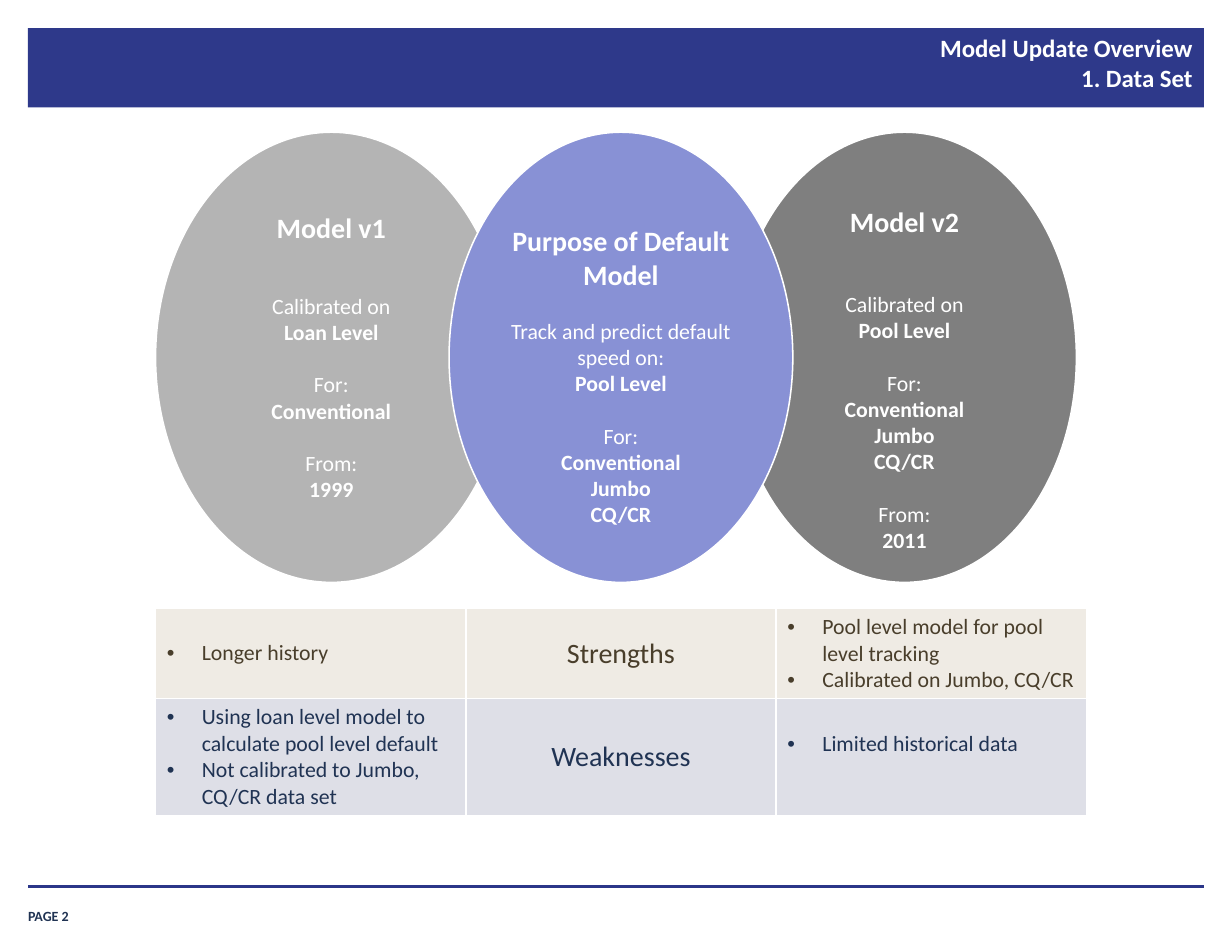
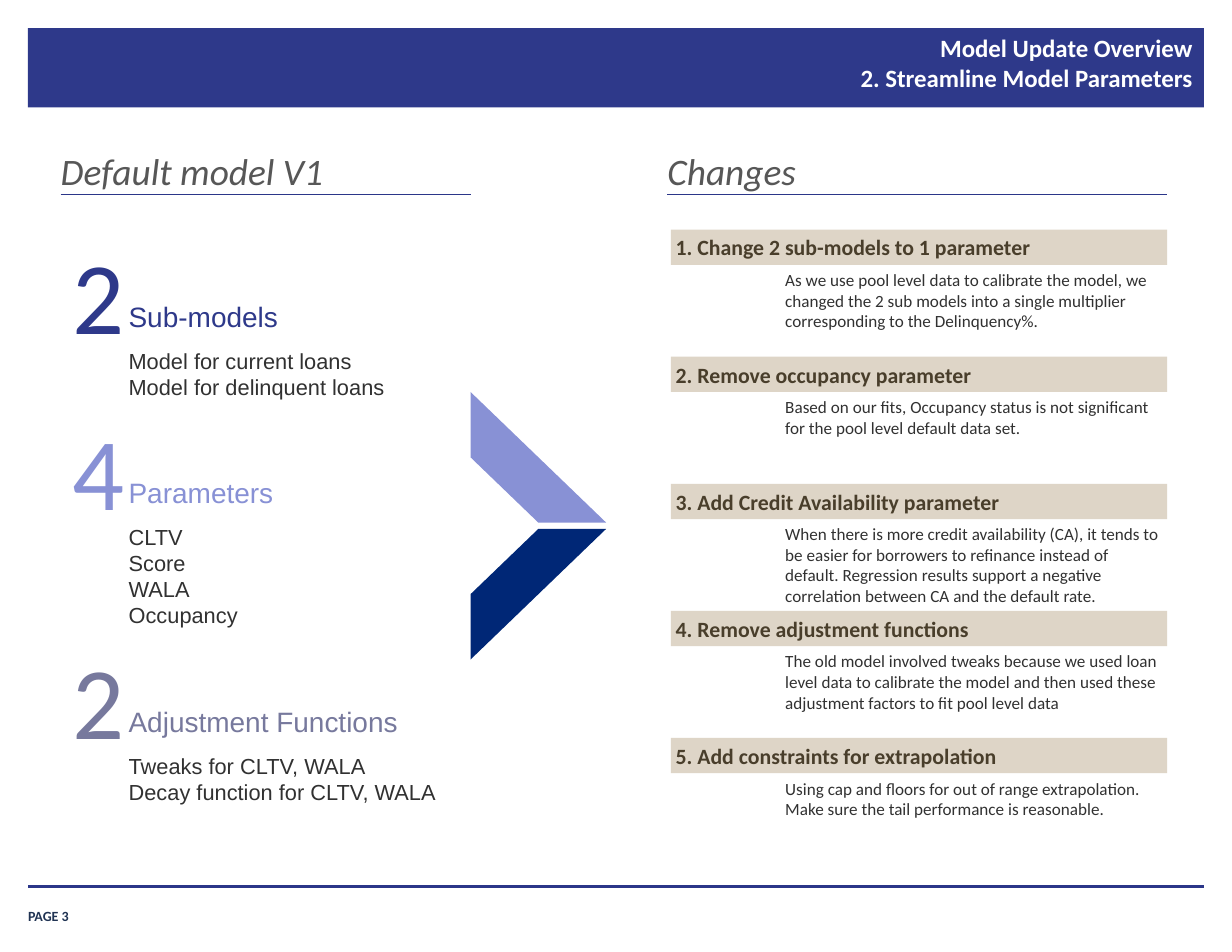
from lxml.etree import SubElement
from pptx import Presentation
from pptx.dml.color import RGBColor
from pptx.enum.shapes import MSO_CONNECTOR, MSO_SHAPE
from pptx.enum.text import MSO_ANCHOR, PP_ALIGN
from pptx.oxml.ns import qn
from pptx.util import Pt

COLORS = {
    "band": "2E398A", "rule": "2B3689", "white": "FFFFFF", "navy": "203353",
    "light_gray": "B4B4B4", "dark_gray": "7F7F7F", "periwinkle": "8891D5",
    "brown": "493E2B", "sand": "EFEBE4", "mist": "DEDFE7", "tan": "DED5C7",
    "heading": "575757", "body": "313131", "slate": "77799D", "deep_blue": "002776",
}


def color(name):
    return RGBColor.from_string(COLORS[name])


def set_font(paragraph, size, color_name, bold=False, italic=False, name="Calibri"):
    font = paragraph.font
    font.name, font.size, font.bold, font.italic = name, Pt(size), bold, italic
    font.color.rgb = color(color_name)


def set_frame(frame, margins, anchor=MSO_ANCHOR.TOP):
    frame.word_wrap = True
    frame.vertical_anchor = anchor
    (frame.margin_left, frame.margin_top,
     frame.margin_right, frame.margin_bottom) = [Pt(margin) for margin in margins]


def add_paragraphs(frame, lines):
    """Yield one paragraph for each line of text."""
    for index, line in enumerate(lines):
        paragraph = frame.add_paragraph() if index else frame.paragraphs[0]
        paragraph.text = line
        yield paragraph


def add_text(shapes, box, lines, size, color_name, margins=(0, 0, 0, 0),
             anchor=MSO_ANCHOR.TOP, align=PP_ALIGN.LEFT, line_spacing=None, **style):
    frame = shapes.add_textbox(*map(Pt, box)).text_frame
    set_frame(frame, margins, anchor)
    for paragraph in add_paragraphs(frame, lines):
        paragraph.alignment = align
        if line_spacing:
            paragraph.line_spacing = Pt(line_spacing)
        set_font(paragraph, size, color_name, **style)


def add_filled(shapes, kind, box, fill, line=None):
    shape = shapes.add_shape(kind, *map(Pt, box))
    shape.shadow.inherit = False
    shape.fill.solid()
    shape.fill.fore_color.rgb = color(fill)
    if line:
        shape.line.color.rgb = color(line)
        shape.line.width = Pt(1)
    else:
        shape.line.fill.background()
    return shape


def add_rule(shapes, left, right, top, width):
    rule = shapes.add_connector(MSO_CONNECTOR.STRAIGHT, Pt(left), Pt(top), Pt(right), Pt(top))
    rule.line.color.rgb = color("rule")
    rule.line.width = Pt(width)
    SubElement(rule.element.spPr, qn("a:effectLst"))


def add_base_slide(presentation, title, page):
    """Blank slide with title band, footer rule and page number."""
    slide = presentation.slides.add_slide(presentation.slide_layouts[6])
    add_filled(slide.shapes, MSO_SHAPE.RECTANGLE, (18, 18, 756, 51), "band")
    add_text(slide.shapes, (18, 577.5, 65.5, 16.5), [f"PAGE {page}"], 9, "navy",
             anchor=MSO_ANCHOR.BOTTOM, bold=True)
    add_rule(slide.shapes, 18, 774, 570, 2)
    add_text(slide.shapes, (239, 17.3, 535.7, 53.3), ["Model Update Overview\v" + title],
             16, "white", margins=(8, 4, 8, 4), align=PP_ALIGN.RIGHT, bold=True)
    return slide


# Data set slide
def add_model_ellipse(slide, box, fill, top_margin, title, title_gap, sections):
    """Each section is a lead-in line followed by its bold lines."""
    ellipse = add_filled(slide.shapes, MSO_SHAPE.OVAL, box, fill, "white")
    frame = ellipse.text_frame
    set_frame(frame, (3, top_margin, 3, 3))
    lines = [title] + [line for section in sections for line in section]
    leads = [section[0] for section in sections]
    for paragraph in add_paragraphs(frame, lines):
        text = paragraph.text
        paragraph.alignment = PP_ALIGN.CENTER
        if text in leads:
            paragraph.space_before = Pt(title_gap if text == leads[0] else 17)
        set_font(paragraph, 18 if text == title else 14, "white", bold=text not in leads)


def style_cell(cell, fill):
    cell.vertical_anchor = MSO_ANCHOR.MIDDLE
    properties = cell._tc.get_or_add_tcPr()
    for side in ("lnL", "lnR", "lnT", "lnB"):
        border = SubElement(properties, qn(f"a:{side}"), w=str(Pt(1)))
        SubElement(SubElement(border, qn("a:solidFill")), qn("a:srgbClr"), val=COLORS["white"])
    cell.fill.solid()
    cell.fill.fore_color.rgb = color(fill)


def add_bullet(paragraph):
    properties = paragraph._p.get_or_add_pPr()
    properties.set("marL", str(Pt(22.5)))
    properties.set("indent", str(Pt(-22.5)))
    SubElement(properties, qn("a:buFont"), typeface="Arial")
    SubElement(properties, qn("a:buChar"), char="•")


def add_comparison_table(slide, box, rows):
    table = slide.shapes.add_table(len(rows), 3, *map(Pt, box)).table
    table.first_row = table.horz_banding = False
    for row_index, (height, fill, text_color, cells) in enumerate(rows):
        table.rows[row_index].height = Pt(height)
        for column, content in enumerate(cells):
            cell = table.cell(row_index, column)
            style_cell(cell, fill)
            is_label = isinstance(content, str)
            lines = [content] if is_label else content
            for paragraph in add_paragraphs(cell.text_frame, lines):
                if is_label:
                    paragraph.alignment = PP_ALIGN.CENTER
                else:
                    add_bullet(paragraph)
                set_font(paragraph, 18 if is_label else 14, text_color)
    return table


def build_data_set(presentation):
    slide = add_base_slide(presentation, "1. Data Set", 2)
    targets = ["For:", "Conventional", "Jumbo", "CQ/CR"]
    top, height = 85, 289.4
    add_model_ellipse(slide, (100, top, 226, height), "light_gray", 8, "Model v1", 31, [
        ["Calibrated on", "Loan Level"], ["For:", "Conventional"], ["From:", "1999"]])
    add_model_ellipse(slide, (471, top, 221, height), "dark_gray", 4, "Model v2", 34, [
        ["Calibrated on", "Pool Level"], targets, ["From:", "2011"]])
    add_model_ellipse(slide, (288.7, top, 221, height), "periwinkle", 16.5,
                      "Purpose of Default Model", 17, [
                          ["Track and predict default speed on:", "Pool Level"], targets])
    table = add_comparison_table(slide, (100, 391.2, 598.5, 132.5), [
        (57, "sand", "brown", [
            ["Longer history"], "Strengths",
            ["Pool level model for pool level tracking", "Calibrated on Jumbo, CQ/CR"]]),
        (75.5, "mist", "navy", [
            ["Using loan level model to calculate pool level default",
             "Not calibrated to Jumbo, CQ/CR data set"],
            "Weaknesses", ["Limited historical data"]]),
    ])
    table.cell(1, 2).margin_bottom = Pt(20.5)


# Streamlined parameters slide
def add_column_heading(slide, left, right, text):
    add_text(slide.shapes, (left, 95, 400, 29), [text], 24, "heading", italic=True)
    add_rule(slide.shapes, left, right, 124.8, 0.75)


def add_count_block(slide, left, top, number, title, color_name, items):
    """Large number with a heading and a list; returns the block's bottom."""
    shapes = slide.shapes.add_group_shape().shapes
    margins = (7.2, 3.6, 7.2, 3.6)
    text_left, list_top, list_height = left + 28.8, top + 70.6, 7.2 + 17 * len(items)
    add_text(shapes, (left, top, 28.8, 80), [number], 66, color_name, align=PP_ALIGN.CENTER)
    add_text(shapes, (text_left, top + 40.2, 213, 28.8), [title], 18, color_name,
             margins, name="Arial")
    add_text(shapes, (text_left, list_top, 213, list_height), items, 14, "body",
             margins, line_spacing=16.9, name="Arial")
    return list_top + list_height


def add_chevron(slide, left, top, width, height):
    shapes = slide.shapes.add_group_shape().shapes
    half = (height - 4) / 2
    add_filled(shapes, MSO_SHAPE.DIAGONAL_STRIPE,
               (left, top + half + 4, width, half), "deep_blue")
    upper = add_filled(shapes, MSO_SHAPE.DIAGONAL_STRIPE, (left, top, width, half), "periwinkle")
    upper.element.spPr.find(qn("a:xfrm")).set("flipV", "1")


def add_change(slide, left, top, width, title, description):
    bar = add_filled(slide.shapes, MSO_SHAPE.RECTANGLE, (left, top, width, 22.7), "tan")
    set_frame(bar.text_frame, (3, 3, 3, 3), MSO_ANCHOR.MIDDLE)
    for paragraph in add_paragraphs(bar.text_frame, [title]):
        paragraph.alignment = PP_ALIGN.LEFT
        set_font(paragraph, 14, "brown", bold=True)
    add_text(slide.shapes, (left + 34.5, top + 22.7, width - 34.5, 59), [description],
             11, "body", margins=(39, 3, 3, 3))


def build_parameters(presentation):
    slide = add_base_slide(presentation, "2. Streamline Model Parameters", 3)

    # Current model
    add_column_heading(slide, 39, 302.5, "Default model V1")
    top = 149
    for number, title, color_name, items in [
        ("2", "Sub-models", "band", ["Model for current loans", "Model for delinquent loans"]),
        ("4", "Parameters", "periwinkle", ["CLTV", "Score", "WALA", "Occupancy"]),
        ("2", "Adjustment Functions", "slate",
         ["Tweaks for CLTV, WALA", "Decay function for CLTV, WALA"]),
    ]:
        top = add_count_block(slide, 46.8, top, number, title, color_name, items) + 1.4
    add_chevron(slide, 302.5, 252, 87.2, 172)

    # Changes
    add_column_heading(slide, 429, 750.5, "Changes")
    changes = [
        ("Change 2 sub-models to 1 parameter",
         "As we use pool level data to calibrate the model, we changed the 2 sub models into "
         "a single multiplier corresponding to the Delinquency%."),
        ("Remove occupancy parameter",
         "Based on our fits, Occupancy status is not significant for the pool level default "
         "data set."),
        ("Add Credit Availability parameter",
         "When there is more credit availability (CA), it tends to be easier for borrowers to "
         "refinance instead of default. Regression results support a negative correlation "
         "between CA and the default rate."),
        ("Remove adjustment functions",
         "The old model involved tweaks because we used loan level data to calibrate the model "
         "and then used these adjustment factors to fit pool level data"),
        ("Add constraints for extrapolation",
         "Using cap and floors for out of range extrapolation. Make sure the tail performance "
         "is reasonable."),
    ]
    for index, (title, description) in enumerate(changes):
        add_change(slide, 431.3, 147.6 + 81.7 * index, 319, f"{index + 1}. {title}", description)


def main():
    presentation = Presentation()
    presentation.slide_width, presentation.slide_height = Pt(792), Pt(612)
    build_data_set(presentation)
    build_parameters(presentation)
    presentation.save("out.pptx")


if __name__ == "__main__":
    main()
